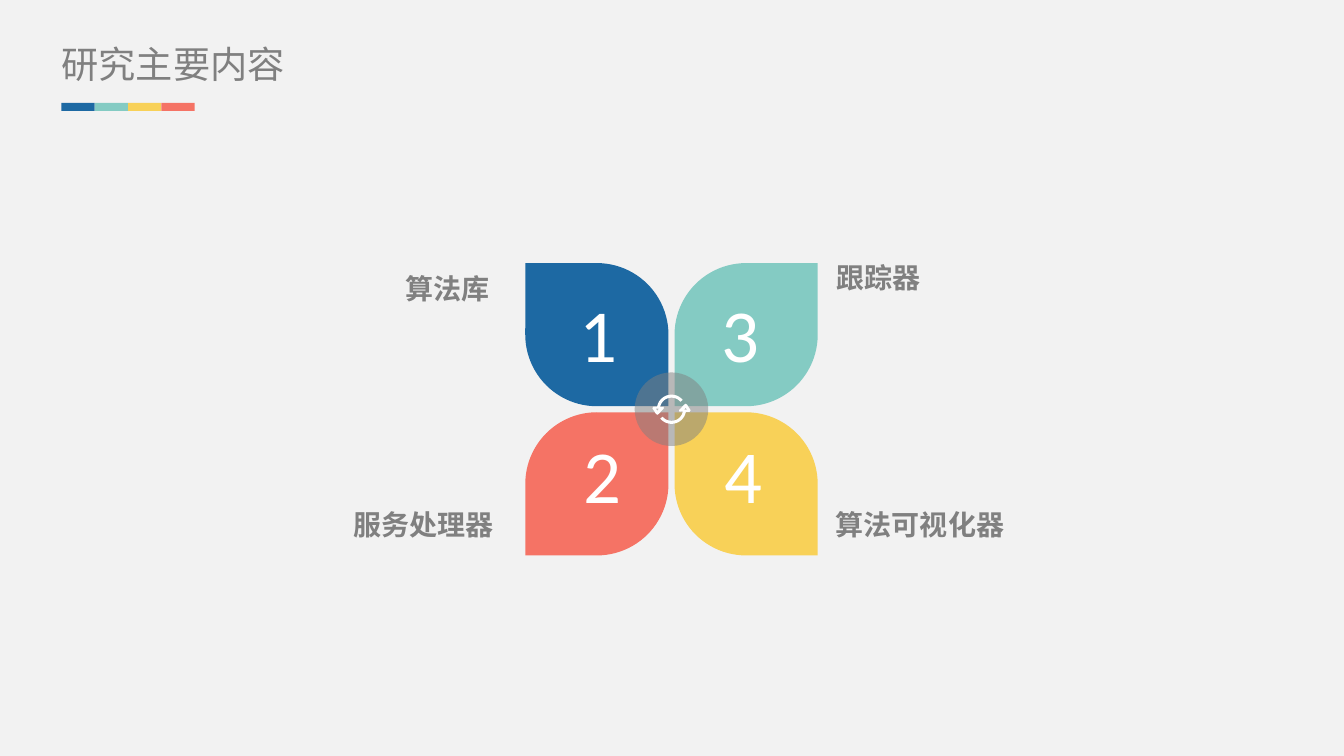
from math import cos, radians, sin
from pptx import Presentation, util as u
from pptx.dml.color import RGBColor
from pptx.enum import shapes, text
from pptx.oxml import parse_xml
from pptx.oxml.ns import nsdecls, qn

BLUE = RGBColor(0x1D, 0x69, 0xA3)
TEAL = RGBColor(0x84, 0xCB, 0xC3)
GOLD = RGBColor(0xF8, 0xD1, 0x58)
CORAL = RGBColor(0xF5, 0x73, 0x65)
GREY = RGBColor(0x80, 0x80, 0x80)
WHITE = RGBColor(0xFF, 0xFF, 0xFF)
PALE = RGBColor(0xF2, 0xF2, 0xF2)
CJK = "Noto Sans CJK SC"
KIND = shapes.MSO_SHAPE
ALIGN = text.PP_ALIGN

deck = Presentation()
deck.slide_width, deck.slide_height = u.Inches(13.33), u.Inches(7.5)
slide = deck.slides.add_slide(deck.slide_layouts[6])
slide.background.fill.solid()
slide.background.fill.fore_color.rgb = PALE
items = slide.shapes


def paint(shape, color):
    """Give a shape a flat fill with no line or shadow."""
    shape.shadow.inherit = False
    shape.fill.solid()
    shape.fill.fore_color.rgb = color
    shape.line.fill.background()


def write(words, box, size, color, face="Calibri", align=ALIGN.CENTER,
          bold=False, pad=0, wrap=True):
    """Put one paragraph in a text box; box is left, top, width, height."""
    frame = items.add_textbox(*map(u.Inches, box)).text_frame
    frame.word_wrap = wrap
    frame.margin_left = frame.margin_right = u.Inches(pad)
    frame.margin_top = frame.margin_bottom = u.Inches(pad / 2)
    para = frame.paragraphs[0]
    para.text, para.alignment = words, align
    font = para.font
    font.name, font.size, font.bold = face, u.Pt(size), bold
    font.color.rgb = color
    font._element.find(qn("a:latin")).addnext(
        parse_xml(f'<a:ea {nsdecls("a")} typeface="{CJK}"/>'))


# Petals: column, row, colour
LEFT, TOP, SIDE, STEP = 5.21, 2.61, 1.42, 1.48
for col, row, color in [(0, 0, BLUE), (1, 0, TEAL), (0, 1, CORAL), (1, 1, GOLD)]:
    petal = items.add_shape(
        KIND.ROUND_2_DIAG_RECTANGLE, u.Inches(LEFT + col * STEP),
        u.Inches(TOP + row * STEP), u.Inches(SIDE), u.Inches(SIDE))
    same = col == row
    petal.adjustments[0] = 0 if same else 0.5
    petal.adjustments[1] = 0.5 if same else 0
    paint(petal, color)

for digit, x, y in [("1", 5.75, 2.86), ("3", 7.15, 2.86),
                    ("2", 5.79, 4.25), ("4", 7.18, 4.25)]:
    write(digit, (x, y, 0.38, 0.9), 53.4, WHITE, wrap=False)

# Hub
MID_X, MID_Y, HUB = 6.66, 4.06, 0.73
hub = items.add_shape(KIND.OVAL, u.Inches(MID_X - HUB / 2),
                      u.Inches(MID_Y - HUB / 2), u.Inches(HUB), u.Inches(HUB))
paint(hub, GREY)
tint = hub.fill._xPr.find(qn("a:solidFill"))[0]
tint.append(parse_xml(f'<a:alpha {nsdecls("a")} val="50000"/>'))

# Cycle icon in thousandths of an inch: one arrow and its half-turn
MIL = 1000
turns = [radians(a) for a in range(10, 141, 10)]
outer = [(145 * cos(a), 145 * sin(a)) for a in turns]
inner = [(115 * cos(a), 115 * sin(a)) for a in reversed(turns)]
head = [(80, 25), (75, 10), (125, -45), (140, -55), (155, -45), (190, 10),
        (180, 25)]
hole = [(125, 5), (140, -15), (155, 5)]
rings = [[(MID_X * MIL + way * x, MID_Y * MIL + way * y) for x, y in ring]
         for way in (1, -1) for ring in (outer + inner + head, hole)]
pen = items.build_freeform(*rings[0][0], scale=u.Inches(1) / MIL)
for i, ring in enumerate(rings):
    if i:
        pen.move_to(*ring[0])
    pen.add_line_segments(ring[1:], close=True)
paint(pen.convert_to_shape(), WHITE)

# Title and its colour bar
write("研究主要内容", (0.61, 0.41, 4.05, 0.45), 26.6, GREY, CJK, ALIGN.LEFT)
BAR = 0.33
for i, color in enumerate([BLUE, TEAL, GOLD, CORAL]):
    paint(items.add_shape(KIND.RECTANGLE, u.Inches(0.61 + i * BAR),
                          u.Inches(1.02), u.Inches(BAR), u.Inches(0.08)), color)

for label, x, y in [("算法库", 2.9, 2.64), ("服务处理器", 2.67, 4.99),
                    ("算法可视化器", 7.59, 4.99), ("跟踪器", 7.18, 2.54)]:
    write(label, (x, y, 3.07, 0.44), 20, GREY, bold=True, pad=0.1)

deck.save("out.pptx")
